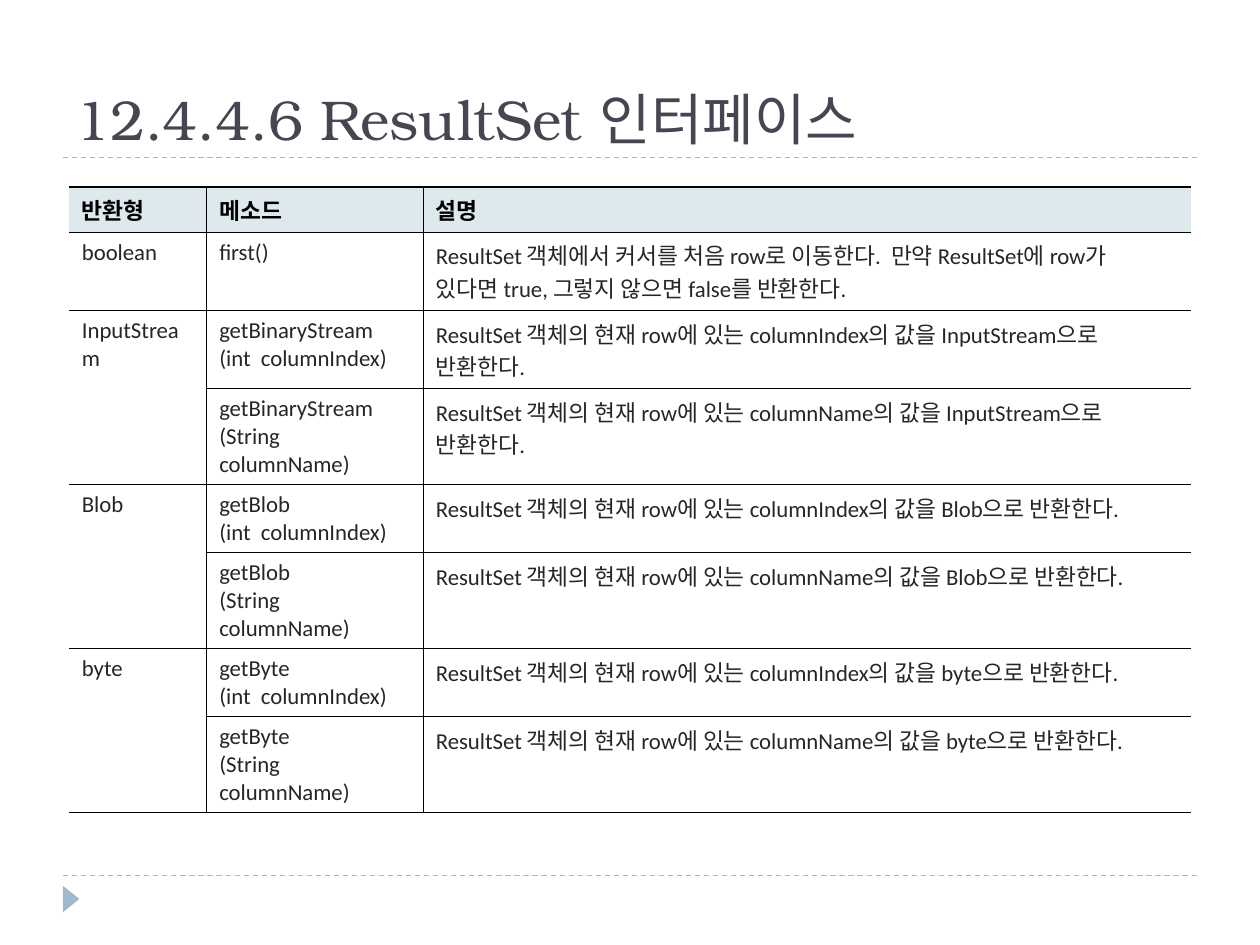
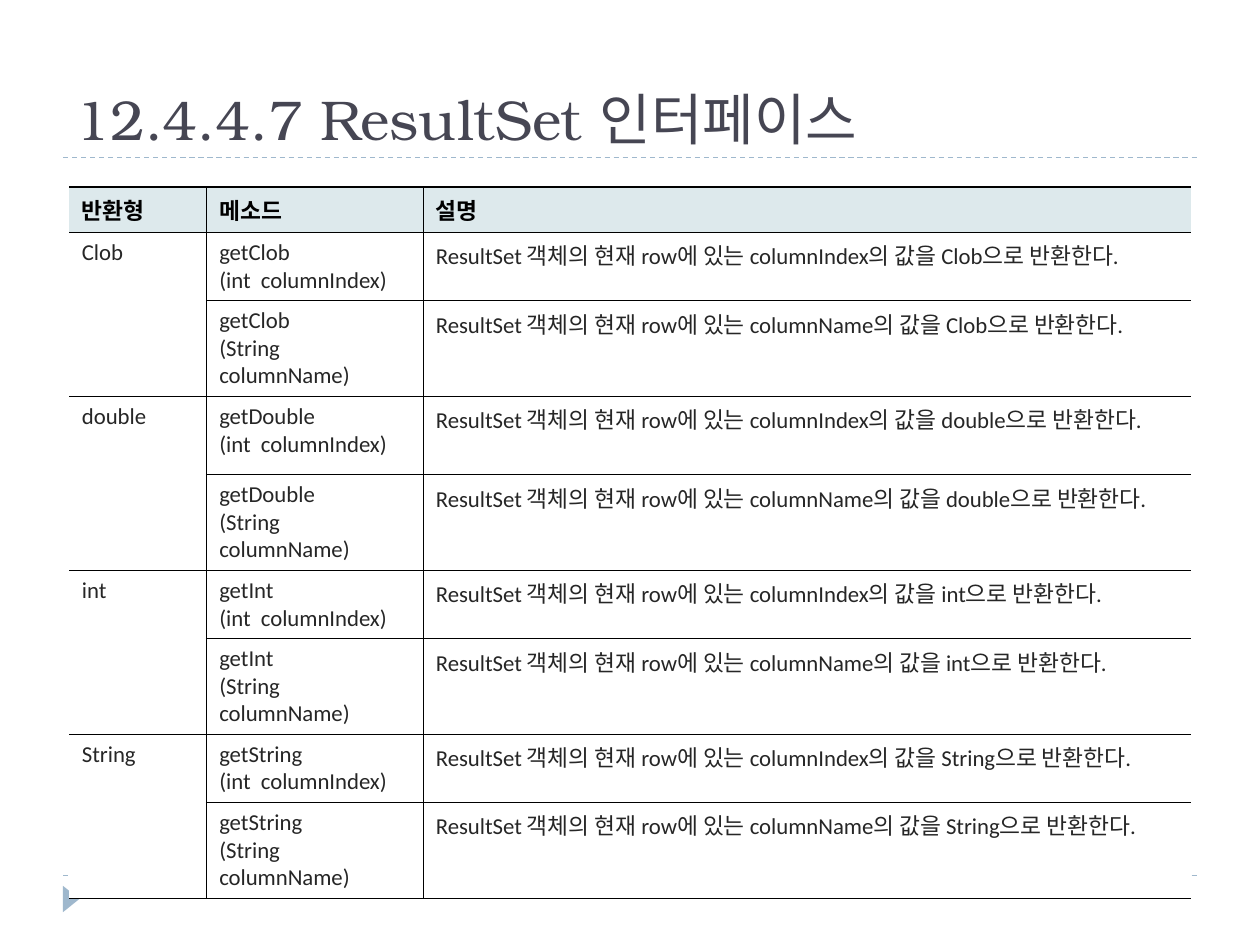
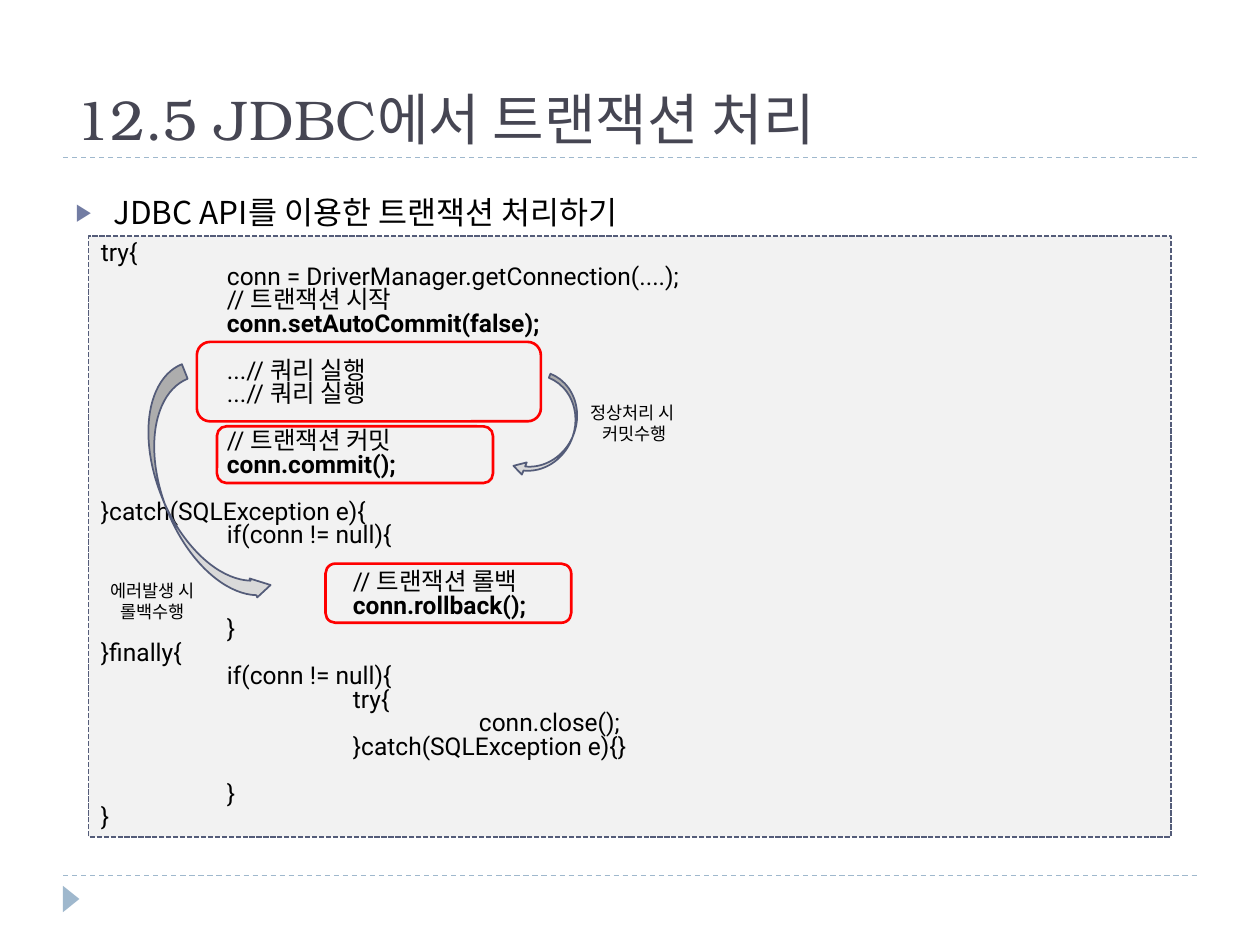
from lxml.etree import SubElement
from pptx import Presentation
from pptx.dml.color import RGBColor
from pptx.enum.dml import MSO_LINE
from pptx.enum.shapes import MSO_CONNECTOR, MSO_SHAPE
from pptx.enum.text import MSO_ANCHOR, MSO_AUTO_SIZE, PP_ALIGN
from pptx.oxml.ns import qn
from pptx.util import Pt

BLACK = RGBColor(0x00, 0x00, 0x00)
WHITE = RGBColor(0xFF, 0xFF, 0xFF)
INK = RGBColor(0x26, 0x26, 0x26)
TITLE = RGBColor(0x46, 0x46, 0x53)
RULE = RGBColor(0x9F, 0xB8, 0xCD)
HEADER = RGBColor(0xDD, 0xE9, 0xEC)
BULLET = RGBColor(0x72, 0x7C, 0xA3)
PANEL = RGBColor(0xF2, 0xF2, 0xF2)
ARROW = RGBColor(0xD9, 0xD9, 0xD9)
OUTLINE = RGBColor(0x54, 0x5C, 0x79)
RED = RGBColor(0xFF, 0x00, 0x00)

TITLE_FONT = "TeX Gyre Bonum"
BODY_FONT = "Noto Sans CJK KR"
TABLE_FONT = "Calibri"
CODE_FONT = "Roboto"

TITLE_BOX = (36, 12.6, 648, 77.8)
BODY_BOX = (36, 95.8, 648, 388.8)
TABLE_BOX = (39.6, 106.9, 640.8, 292)
CODE_BOX = (50.6, 134.9, 618.5, 343.4)
COLUMNS = (78.5, 123.8, 438.5)
HEADER_HEIGHT, ROW_HEIGHT = 22.3, 25.2
NOTE_MARGIN = 12.3
CODE_LINE = 13.4
CODE_TAB = 72

HEADINGS = ("반환형", "메소드", "설명")
FIRST_ROW = ("boolean", ["first()"],
             "ResultSet 객체에서 커서를 처음 row로 이동한다.  만약 ResultSet에 row가 "
             "있다면 true, 그렇지 않으면 false를 반환한다.")

CODE = [
    (0, "try{"),
    (1, "conn = DriverManager.getConnection(....);"),
    (1, "// 트랜잭션 시작"),
    (1, "conn.setAutoCommit(false);"),
    None,
    (1, "...// 쿼리 실행"),
    (1, "...// 쿼리 실행"),
    None,
    (1, "// 트랜잭션 커밋"),
    (1, "conn.commit();"),
    None,
    (0, "}catch(SQLException e){"),
    (1, "if(conn != null){"),
    None,
    (2, "// 트랜잭션 롤백"),
    (2, "conn.rollback();"),
    (1, "}"),
    (0, "}finally{"),
    (1, "if(conn != null){"),
    (2, "try{"),
    (3, "conn.close();"),
    (2, "}catch(SQLException e){}"),
    None,
    (1, "}"),
    (0, "}"),
]
KEY_CALLS = {"conn.setAutoCommit(false);", "conn.commit();", "conn.rollback();"}


def write(p, text, font=TABLE_FONT, size=13, color=BLACK, bold=False,
          align=PP_ALIGN.LEFT, spacing=None, before=0):
    p.alignment = align
    p.space_before = Pt(before)
    if spacing:
        p.line_spacing = spacing
    r = p.add_run()
    r.text = text
    r.font.name = font
    r.font.size = Pt(size)
    r.font.bold = bold
    r.font.color.rgb = color


def write_lines(tf, lines, **fmt):
    for i, line in enumerate(lines):
        write(tf.paragraphs[0] if i == 0 else tf.add_paragraph(), line, **fmt)


def place(sp, box):
    sp.left, sp.top, sp.width, sp.height = map(Pt, box)


def add_preset(s, kind, box, fill=None, line=None, width=1, rotation=0):
    sp = s.shapes.add_shape(kind, *map(Pt, box))
    sp.shadow.inherit = False
    sp.rotation = rotation
    if fill is None:
        sp.fill.background()
    else:
        sp.fill.solid()
        sp.fill.fore_color.rgb = fill
    if line is None:
        sp.line.fill.background()
    else:
        sp.line.color.rgb = line
        sp.line.width = Pt(width)
    return sp


def add_frame(s, title):
    for y in (500.4, 90):
        line = s.shapes.add_connector(MSO_CONNECTOR.STRAIGHT, Pt(36), Pt(y), Pt(684), Pt(y))
        line.line.color.rgb = RULE
        line.line.width = Pt(0.75)
        line.line.dash_style = MSO_LINE.DASH
        SubElement(line._element.spPr, qn("a:effectLst"))
    add_preset(s, MSO_SHAPE.ISOSCELES_TRIANGLE, (33.1, 509, 15.1, 9.4), fill=RULE, rotation=90)
    sp = s.shapes.title
    place(sp, TITLE_BOX)
    tf = sp.text_frame
    tf.auto_size = MSO_AUTO_SIZE.NONE
    tf.vertical_anchor = MSO_ANCHOR.BOTTOM
    write(tf.paragraphs[0], title, font=TITLE_FONT, size=32, color=TITLE)


def set_borders(cell, visible):
    tcPr = cell._tc.get_or_add_tcPr()
    for side in "LRTB":
        ln = SubElement(tcPr, qn(f"a:ln{side}"), w=str(Pt(1)))
        if side in visible:
            fill = SubElement(ln, qn("a:solidFill"))
            SubElement(fill, qn("a:srgbClr"), val=str(BLACK))
        else:
            SubElement(ln, qn("a:noFill"))


def format_cell(cell, sides, lines, fill, **fmt):
    set_borders(cell, sides)
    cell.fill.solid()
    cell.fill.fore_color.rgb = fill
    write_lines(cell.text_frame, lines, **fmt)


def getter_rows(kind, method=None):
    method = method or "get" + kind[0].upper() + kind[1:]
    return [(kind if arg == "int" else None,
             [method, f"({arg_text})"],
             f"ResultSet 객체의 현재 row에 있는 {column}의 값을 {kind}으로 반환한다.")
            for arg, arg_text, column in (("int", "int  columnIndex", "columnIndex"),
                                          ("String", "String columnName", "columnName"))]


def add_method_table(s, rows, box):
    table = s.shapes.add_table(len(rows) + 1, len(COLUMNS), *map(Pt, box)).table
    table.first_row = table.horz_banding = False
    for column, width in zip(table.columns, COLUMNS):
        column.width = Pt(width)
    for i, row in enumerate(table.rows):
        row.height = Pt(ROW_HEIGHT if i else HEADER_HEIGHT)
    sides = ("RTB", "LRTB", "LTB")
    for c, heading in enumerate(HEADINGS):
        format_cell(table.cell(0, c), sides[c], [heading], HEADER, bold=True)
    for i, (kind, method, note) in enumerate(rows, 1):
        if kind is None:
            table.cell(i - 1, 0).merge(table.cell(i, 0))
            set_borders(table.cell(i, 0), "RB")
        else:
            format_cell(table.cell(i, 0), sides[0], [kind], WHITE, color=INK)
        format_cell(table.cell(i, 1), sides[1], method, WHITE, color=INK)
        format_cell(table.cell(i, 2), sides[2], [note], WHITE, color=INK)
        table.cell(i, 2).margin_right = Pt(NOTE_MARGIN)


def add_table_slide(prs, title, rows):
    s = prs.slides.add_slide(prs.slide_layouts[5])
    add_frame(s, title)
    add_method_table(s, rows, TABLE_BOX)


def add_bullet_line(s, text, box):
    sp = s.placeholders[1]
    place(sp, box)
    tf = sp.text_frame
    tf.auto_size = MSO_AUTO_SIZE.NONE
    p = tf.paragraphs[0]
    write(p, text, font=BODY_FONT, size=18, spacing=1.5)
    pPr = p._p.get_or_add_pPr()
    pPr.set("marL", str(Pt(21.6)))
    pPr.set("indent", str(-Pt(21.6)))
    color = SubElement(pPr, qn("a:buClr"))
    SubElement(color, qn("a:srgbClr"), val=str(BULLET))
    SubElement(pPr, qn("a:buSzPct"), val="76000")
    SubElement(pPr, qn("a:buChar"), char="▶")


def set_tab_stops(p, count):
    tabs = SubElement(p._p.get_or_add_pPr(), qn("a:tabLst"))
    for n in range(1, count + 1):
        SubElement(tabs, qn("a:tab"), pos=str(Pt(n * CODE_TAB)), algn="l")


def add_code_panel(s, box):
    sp = add_preset(s, MSO_SHAPE.RECTANGLE, box, fill=PANEL, line=OUTLINE)
    sp.line.dash_style = MSO_LINE.SQUARE_DOT
    tf = sp.text_frame
    tf.word_wrap = True
    tf.vertical_anchor = MSO_ANCHOR.MIDDLE
    p, gap = tf.paragraphs[0], 0
    for i, entry in enumerate(CODE):
        if entry is None:
            gap = CODE_LINE
            continue
        depth, text = entry
        if i:
            p = tf.add_paragraph()
        write(p, "\t" * depth + text, font=CODE_FONT, size=14,
              bold=text in KEY_CALLS, spacing=0.8, before=gap)
        if depth:
            set_tab_stops(p, depth)
        gap = 0


def add_flow_arrow(s, box, rotation, thickness, flip=False):
    sp = add_preset(s, MSO_SHAPE.CURVED_RIGHT_ARROW, box, fill=ARROW, line=OUTLINE,
                    rotation=rotation)
    for i, value in enumerate((thickness, 0.3, 0.25)):
        sp.adjustments[i] = value
    if flip:
        sp._element.spPr.xfrm.set("flipH", "1")


def add_flow_label(s, lines, box):
    tf = s.shapes.add_textbox(*map(Pt, box)).text_frame
    tf.word_wrap = True
    tf.vertical_anchor = MSO_ANCHOR.MIDDLE
    write_lines(tf, lines, size=10, align=PP_ALIGN.CENTER)


def add_code_flow(s, box):
    x, y = box[:2]
    add_code_panel(s, box)
    queries = (61.9, 60.5, 196.6, 45.4)
    rollback = (135.4, 187.2, 140.4, 33.8)
    commit = (73.4, 108.7, 157.7, 32.4)
    for dx, dy, w, h in (queries, rollback, commit):
        add_preset(s, MSO_SHAPE.ROUNDED_RECTANGLE, (x + dx, y + dy, w, h), line=RED, width=1.5)
    add_flow_arrow(s, (x + 42.3, y + 75.4, 38.9, 141.8), 338.1, 0.23)
    add_flow_arrow(s, (x + 251.8, y + 81.2, 25.2, 60.5), 21.9, 0.1, flip=True)
    add_flow_label(s, ["정상처리 시 ", "커밋수행"], (x + 270, y + 90, 84.2, 33.8))
    add_flow_label(s, ["에러발생 시", "롤백수행"], (x - 5.6, y + 191.5, 84.2, 33.8))


def add_code_slide(prs, title, bullet):
    s = prs.slides.add_slide(prs.slide_layouts[1])
    add_frame(s, title)
    add_bullet_line(s, bullet, BODY_BOX)
    add_code_flow(s, CODE_BOX)


def main():
    prs = Presentation()
    prs.slide_width, prs.slide_height = Pt(720), Pt(540)
    add_table_slide(prs, "12.4.4.6 ResultSet 인터페이스",
                    [FIRST_ROW, *getter_rows("InputStream", "getBinaryStream"),
                     *getter_rows("Blob"), *getter_rows("byte")])
    add_table_slide(prs, "12.4.4.7 ResultSet 인터페이스",
                    [row for kind in ("Clob", "double", "int", "String")
                     for row in getter_rows(kind)])
    add_code_slide(prs, "12.5 JDBC에서 트랜잭션 처리", "JDBC API를 이용한 트랜잭션 처리하기")
    prs.save("out.pptx")


if __name__ == "__main__":
    main()
